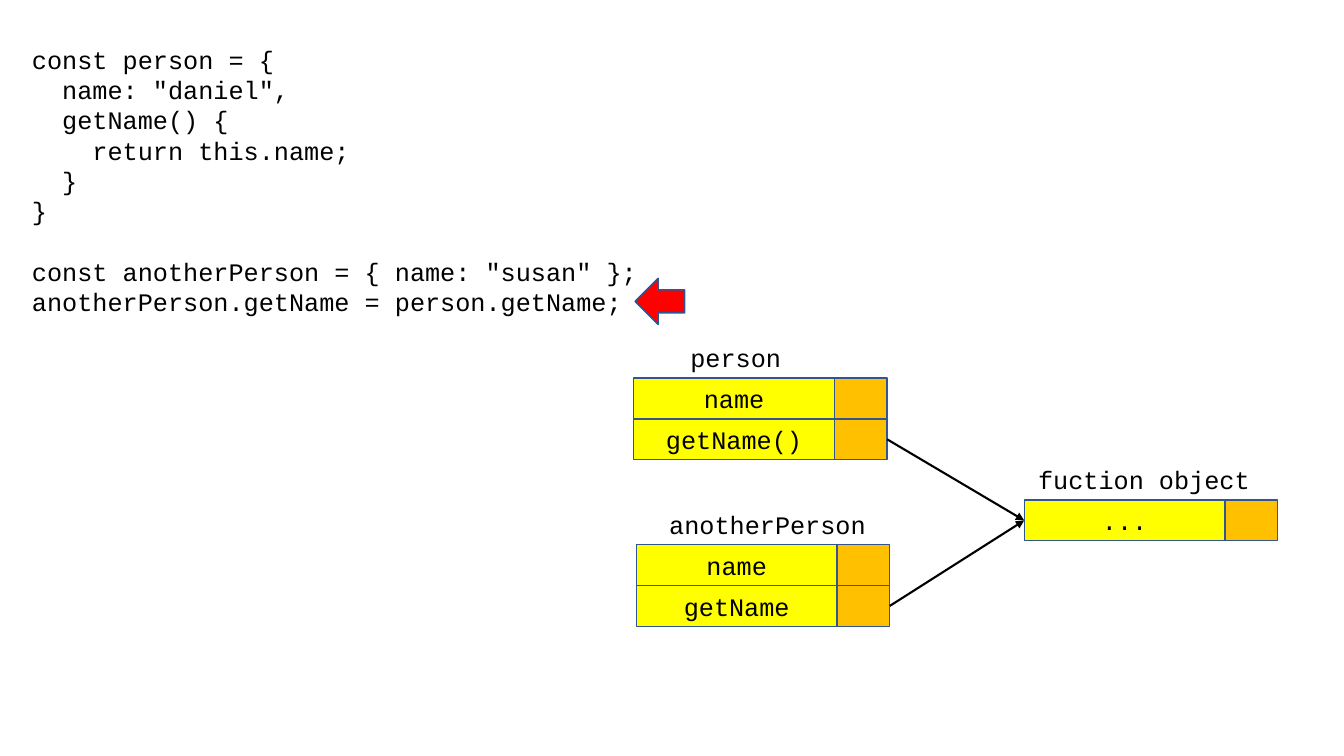
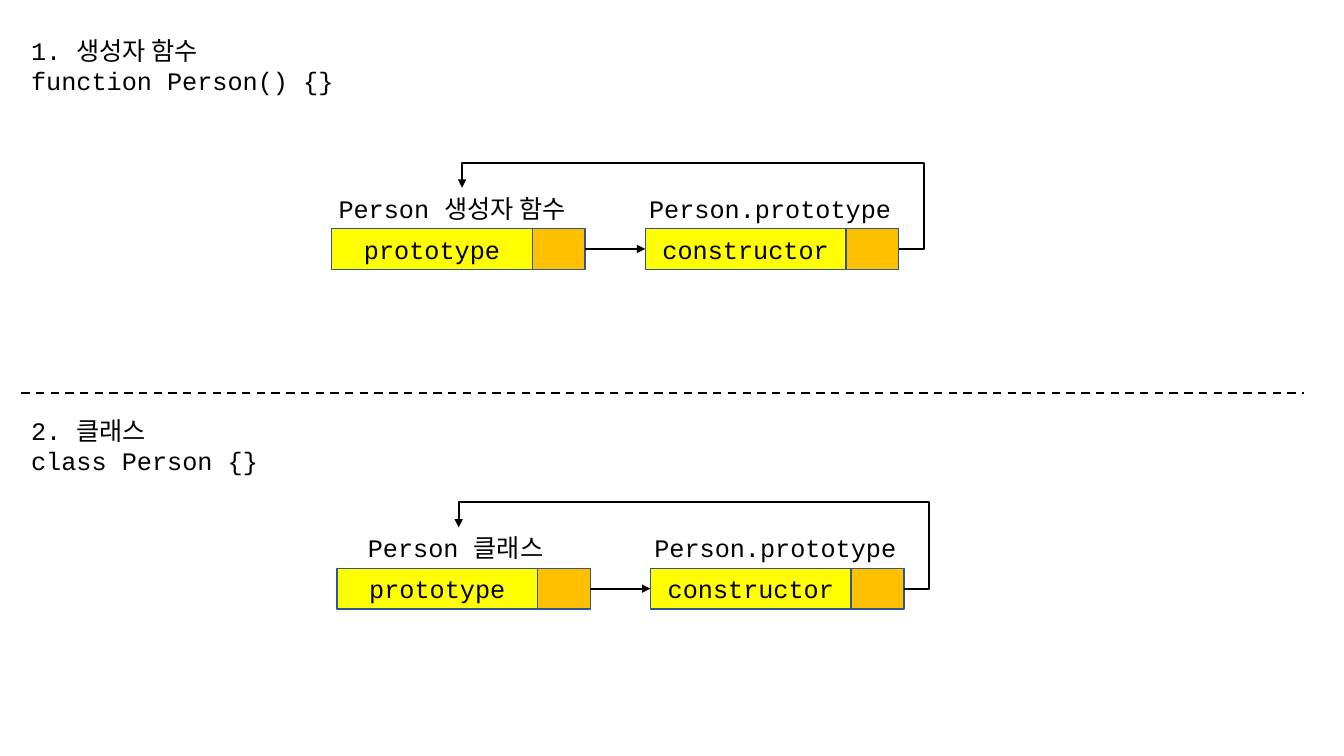
from dataclasses import dataclass
from typing import Any, NamedTuple

from lxml.etree import SubElement
from pptx import Presentation
from pptx.dml.color import RGBColor
from pptx.enum.dml import MSO_LINE
from pptx.enum.shapes import MSO_CONNECTOR as Link, MSO_SHAPE as Preset
from pptx.enum.text import MSO_ANCHOR as Anchor, MSO_AUTO_SIZE as AutoSize, PP_ALIGN as Align
from pptx.oxml.ns import qn
from pptx.util import Pt

COLOURS = {
    "ink": "000000", "key": "FFFF00", "value": "FFC000",
    "border": "325491", "marker": "FF0000",
}
FONT = {"name": "Courier New", "size": Pt(18)}
PARAGRAPH = {"line_spacing": Pt(21.6)}
CODE_FRAME = {"word_wrap": False, "auto_size": AutoSize.SHAPE_TO_FIT_TEXT}
CELL_FRAME = {"word_wrap": True, "vertical_anchor": Anchor.MIDDLE}

LATIN_WIDTH, HANGUL_WIDTH = 10.8, 18
LINE_HEIGHT = 21.85
INSET_X, INSET_Y = 7.2, 3.6
KEY_WIDTH, VALUE_WIDTH = 143.4, 37.7
ROW_HEIGHT, ROW_STEP = 29.1, 29.25
DETOUR = 18


class Line(NamedTuple):
    """A line of code with its nesting depth and the space above it."""
    text: str
    depth: int = 0
    space_above: float = 0


class Point(NamedTuple):
    """A place on the slide, in points."""
    x: float
    y: float


@dataclass(frozen=True)
class ObjectBox:
    """An object drawn as rows of a key cell and a value cell, under its name."""
    name: str
    name_offset: float
    left: float
    top: float
    keys: tuple[str, ...]

    @property
    def name_left(self) -> float:
        """Left edge of the name."""
        return self.left + self.name_offset

    def row_middle(self, row: int) -> float:
        """Vertical middle of a row."""
        return self.top + row * ROW_STEP + ROW_HEIGHT / 2

    def exit(self, row: int) -> Point:
        """Point where a reference leaves a row."""
        return Point(self.left + KEY_WIDTH + VALUE_WIDTH, self.row_middle(row))

    def entry(self) -> Point:
        """Point where a reference reaches the first row."""
        return Point(self.left, self.row_middle(0))

    def name_top(self) -> Point:
        """Point above the middle of the name."""
        return Point(self.name_left + text_width(self.name) / 2, self.top - ROW_HEIGHT)


@dataclass(frozen=True)
class PrototypePair:
    """A definition and the loop between it and its prototype."""
    code: tuple[Line, ...]
    code_top: float
    owner: ObjectBox


def text_width(text: str) -> float:
    """Width of a text box that holds one line."""
    return 2 * INSET_X + sum(LATIN_WIDTH if ch.isascii() else HANGUL_WIDTH for ch in text)


def rgb(colour: str) -> RGBColor:
    """Look up a named colour."""
    return RGBColor.from_string(COLOURS[colour])


def apply(target: Any, values: dict[str, Any]) -> None:
    """Set each attribute of the target."""
    for attribute, value in values.items():
        setattr(target, attribute, value)


def write(paragraph: Any, text: str) -> None:
    """Write text in the shared code font."""
    run = paragraph.add_run()
    run.text = text
    apply(run.font, FONT)
    run.font.color.rgb = rgb("ink")
    apply(paragraph, PARAGRAPH)


def add_code(slide: Any, left: float, top: float, lines: tuple[Line, ...]) -> None:
    """Add lines of code that keep to their own width."""
    width = max(text_width(line.text) for line in lines)
    height = 2 * INSET_Y + sum(LINE_HEIGHT + line.space_above for line in lines)
    frame = slide.shapes.add_textbox(Pt(left), Pt(top), Pt(width), Pt(height)).text_frame
    apply(frame, CODE_FRAME)
    for number, line in enumerate(lines):
        paragraph = frame.add_paragraph() if number else frame.paragraphs[0]
        write(paragraph, line.text)
        if line.space_above:
            paragraph.space_before = Pt(line.space_above)
        if line.depth:
            indent = Pt(2 * LATIN_WIDTH * line.depth)
            paragraph._p.get_or_add_pPr().set("marL", str(indent))


def add_block(shapes: Any, preset: Preset, left: float, top: float,
              width: float, height: float, colour: str) -> Any:
    """Add a filled, bordered shape."""
    block = shapes.add_shape(preset, Pt(left), Pt(top), Pt(width), Pt(height))
    block.shadow.inherit = False
    block.fill.solid()
    block.fill.fore_color.rgb = rgb(colour)
    block.line.color.rgb = rgb("border")
    block.line.width = Pt(1)
    return block


def add_object(slide: Any, box: ObjectBox) -> None:
    """Draw an object's name and its rows."""
    add_code(slide, box.name_left, box.top - ROW_HEIGHT, (Line(box.name),))
    for row, key in enumerate(box.keys):
        top = box.top + row * ROW_STEP
        cells = slide.shapes.add_group_shape().shapes
        key_cell = add_block(cells, Preset.RECTANGLE, box.left, top,
                             KEY_WIDTH, ROW_HEIGHT, "key")
        add_block(cells, Preset.RECTANGLE, box.left + KEY_WIDTH, top,
                  VALUE_WIDTH, ROW_HEIGHT, "value")
        apply(key_cell.text_frame, CELL_FRAME)
        paragraph = key_cell.text_frame.paragraphs[0]
        paragraph.alignment = Align.CENTER
        write(paragraph, key)


def add_line(slide: Any, start: Point, end: Point, kind: Link = Link.STRAIGHT) -> Any:
    """Add a plain black line."""
    line = slide.shapes.add_connector(kind, Pt(start.x), Pt(start.y), Pt(end.x), Pt(end.y))
    line.line.color.rgb = rgb("ink")
    line.line.width = Pt(1.5)
    SubElement(line._element.spPr, qn("a:effectLst"))
    return line


def add_reference(slide: Any, start: Point, end: Point, kind: Link = Link.STRAIGHT) -> Any:
    """Add a line with an arrowhead at its end."""
    reference = add_line(slide, start, end, kind)
    SubElement(reference.line._get_or_add_ln(), qn("a:tailEnd"), type="triangle")
    return reference


def add_back_reference(slide: Any, start: Point, end: Point) -> None:
    """Lead an arrow out to the right, over the top and down to its end."""
    reference = add_reference(slide, start, end, Link.ELBOW)
    geometry = reference._element.spPr.find(qn("a:prstGeom"))
    geometry.set("prst", "bentConnector4")
    guides = geometry.find(qn("a:avLst"))
    if guides is None:
        guides = SubElement(geometry, qn("a:avLst"))
    ratios = {"adj1": -DETOUR / (start.x - end.x), "adj2": 1 + DETOUR / (start.y - end.y)}
    for name, ratio in ratios.items():
        SubElement(guides, qn("a:gd"), name=name, fmla=f"val {round(ratio * 100000)}")


def build_shared_method(slide: Any) -> None:
    """Show two objects that share one function."""
    add_code(slide, 15.8, 28.1, (
        Line("const person = {"),
        Line('name: "daniel",', 1),
        Line("getName() {", 1),
        Line("return this.name;", 2),
        Line("}", 1),
        Line("}"),
        Line('const anotherPerson = { name: "susan" };', space_above=21.6),
        Line("anotherPerson.getName = person.getName;"),
    ))
    add_block(slide.shapes, Preset.LEFT_ARROW, 453.6, 198.8, 35.4, 33, "marker")
    person = ObjectBox("person", 33.4, 452.6, 270, ("name", "getName()"))
    another_person = ObjectBox("anotherPerson", 16.4, 454.5, 389, ("name", "getName"))
    function = ObjectBox("fuction object", 2.8, 731.6, 357.2, ("...",))
    for box in (person, another_person, function):
        add_object(slide, box)
    for owner in (person, another_person):
        add_reference(slide, owner.exit(1), function.entry())


def build_prototypes(slide: Any) -> None:
    """Compare a constructor function with a class."""
    add_line(slide, Point(15.1, 280.8), Point(931.7, 280.8)).line.dash_style = MSO_LINE.DASH
    pairs = (
        PrototypePair((Line("1. 생성자 함수"), Line("function Person() {}")), 21.6,
                      ObjectBox("Person 생성자 함수", -2.2, 236.9, 163.3, ("prototype",))),
        PrototypePair((Line("2. 클래스"), Line("class Person {}")), 293,
                      ObjectBox("Person 클래스", 15.1, 240.6, 405.9, ("prototype",))),
    )
    for pair in pairs:
        owner = pair.owner
        prototype = ObjectBox("Person.prototype", -4.3, owner.left + 224, owner.top,
                              ("constructor",))
        add_code(slide, 15.1, pair.code_top, pair.code)
        add_object(slide, owner)
        add_object(slide, prototype)
        add_reference(slide, owner.exit(0), prototype.entry())
        add_back_reference(slide, prototype.exit(0), owner.name_top())


def main() -> None:
    """Build and save the presentation."""
    deck = Presentation()
    apply(deck, {"slide_width": Pt(960), "slide_height": Pt(540)})
    blank = deck.slide_layouts[6]
    for build in (build_shared_method, build_prototypes):
        build(deck.slides.add_slide(blank))
    deck.save("out.pptx")


main()
